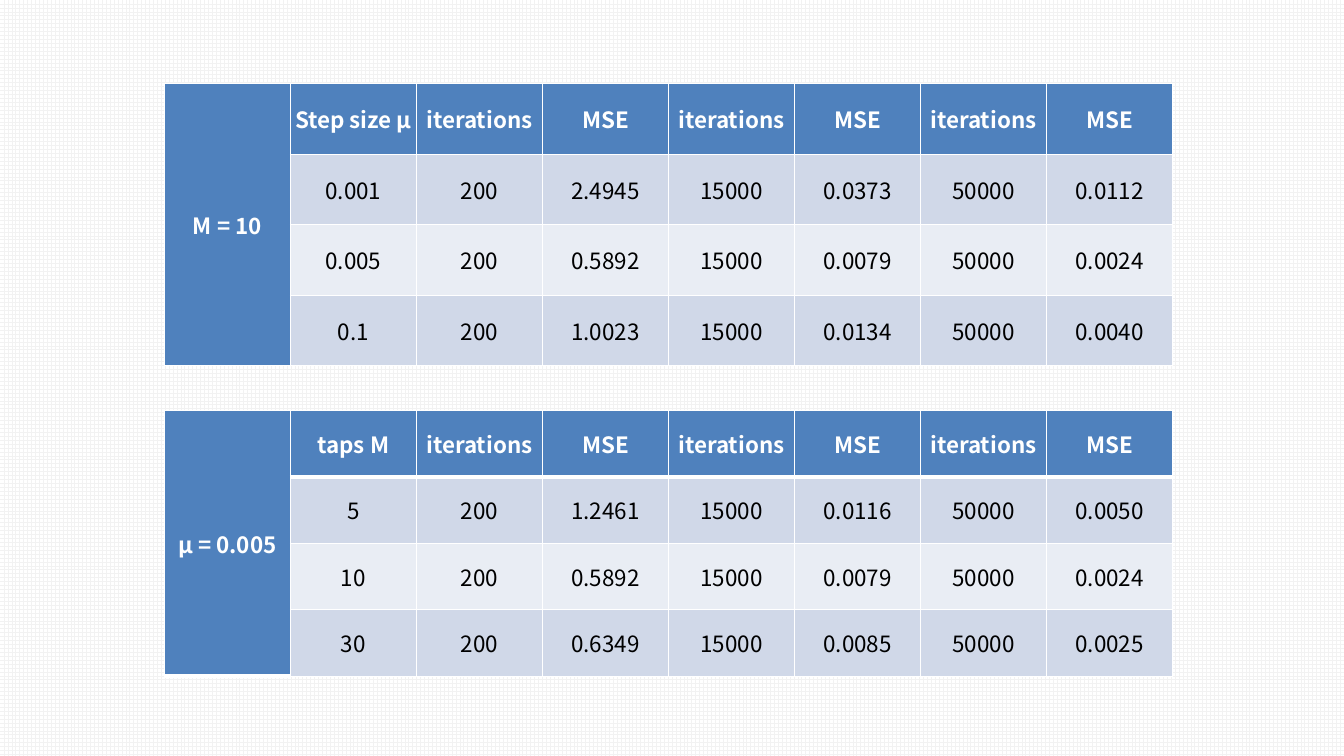
from lxml.etree import fromstring
from pptx import Presentation
from pptx.dml.color import RGBColor
from pptx.enum.dml import MSO_PATTERN
from pptx.enum.text import MSO_ANCHOR, PP_ALIGN
from pptx.oxml.ns import nsdecls
from pptx.util import Inches, Pt

WHITE = RGBColor(0xFF, 0xFF, 0xFF)
BLACK = RGBColor(0x00, 0x00, 0x00)
GRID_GREY = RGBColor(0xF2, 0xF2, 0xF2)
HEADER_BLUE = RGBColor(0x4F, 0x81, 0xBD)
BAND_DARK = RGBColor(0xD0, 0xD8, 0xE8)
BAND_LIGHT = RGBColor(0xE9, 0xED, 0xF4)
FONT = "Noto Sans CJK SC"

ITERATIONS = ["200", "15000", "50000"]
COLUMN_WIDTH = 1.25

# Each MSE list follows the order of ITERATIONS.
EXPERIMENTS = [
    {
        "fixed": "M = 10", "varied": "Step size µ",
        "top": 0.83, "row_height": 0.7, "side_margin": 0, "header_rule": 1,
        "results": {
            "0.001": ["2.4945", "0.0373", "0.0112"],
            "0.005": ["0.5892", "0.0079", "0.0024"],
            "0.1": ["1.0023", "0.0134", "0.0040"],
        },
    },
    {
        "fixed": "µ = 0.005", "varied": "taps M",
        "top": 4.07, "row_height": 0.66, "side_margin": 0.07, "header_rule": 3,
        "results": {
            "5": ["1.2461", "0.0116", "0.0050"],
            "10": ["0.5892", "0.0079", "0.0024"],
            "30": ["0.6349", "0.0085", "0.0025"],
        },
    },
]


def set_borders(cell, top, bottom):
    """Give the cell white borders; top and bottom widths are in points."""
    widths = {"lnL": 1, "lnR": 1, "lnT": top, "lnB": bottom}
    properties = cell._tc.get_or_add_tcPr()
    for position, (side, width) in enumerate(widths.items()):
        properties.insert(position, fromstring(
            f'<a:{side} {nsdecls("a")} w="{Pt(width)}"><a:solidFill>'
            f'<a:srgbClr val="{WHITE}"/></a:solidFill></a:{side}>'))


def format_cell(cell, text, fill, is_header, side_margin):
    cell.text = text
    cell.fill.solid()
    cell.fill.fore_color.rgb = fill
    cell.vertical_anchor = MSO_ANCHOR.MIDDLE
    cell.margin_left = cell.margin_right = Inches(side_margin)
    cell.margin_top = cell.margin_bottom = 0
    paragraph = cell.text_frame.paragraphs[0]
    paragraph.alignment = PP_ALIGN.CENTER
    font = paragraph.runs[0].font
    for name, value in {"name": FONT, "size": Pt(16), "bold": is_header}.items():
        setattr(font, name, value)
    font.color.rgb = WHITE if is_header else BLACK


presentation = Presentation()
presentation.slide_width = Inches(13.33)
presentation.slide_height = Inches(7.5)
slide = presentation.slides.add_slide(presentation.slide_layouts[6])

background = slide.background.fill
background.patterned()
background.pattern = MSO_PATTERN.LARGE_GRID
background.fore_color.rgb = GRID_GREY
background.back_color.rgb = WHITE

for experiment in EXPERIMENTS:
    rows = [[experiment["varied"]] + ["iterations", "MSE"] * len(ITERATIONS)]
    for setting, errors in experiment["results"].items():
        pairs = zip(ITERATIONS, errors)
        rows.append([setting] + [value for pair in pairs for value in pair])
    column_count = len(rows[0]) + 1
    row_height = experiment["row_height"]
    side_margin = experiment["side_margin"]
    header_rule = experiment["header_rule"]

    table = slide.shapes.add_table(
        len(rows), column_count, Inches(1.63), Inches(experiment["top"]),
        Inches(COLUMN_WIDTH * column_count), Inches(row_height * len(rows))).table
    table.first_row = table.horz_banding = False
    for column in table.columns:
        column.width = Inches(COLUMN_WIDTH)
    for row in table.rows:
        row.height = Inches(row_height)

    fixed_cell = table.cell(0, 0)
    fixed_cell.merge(table.cell(len(rows) - 1, 0))
    format_cell(fixed_cell, experiment["fixed"], HEADER_BLUE, True, side_margin)
    set_borders(fixed_cell, 1, header_rule)

    for row_index, values in enumerate(rows):
        is_header = row_index == 0
        band = BAND_DARK if row_index % 2 else BAND_LIGHT
        for column_index, value in enumerate(values, start=1):
            cell = table.cell(row_index, column_index)
            format_cell(cell, value, HEADER_BLUE if is_header else band,
                        is_header, side_margin)
            set_borders(cell, header_rule if row_index == 1 else 1,
                        header_rule if is_header else 1)

presentation.save("out.pptx")
